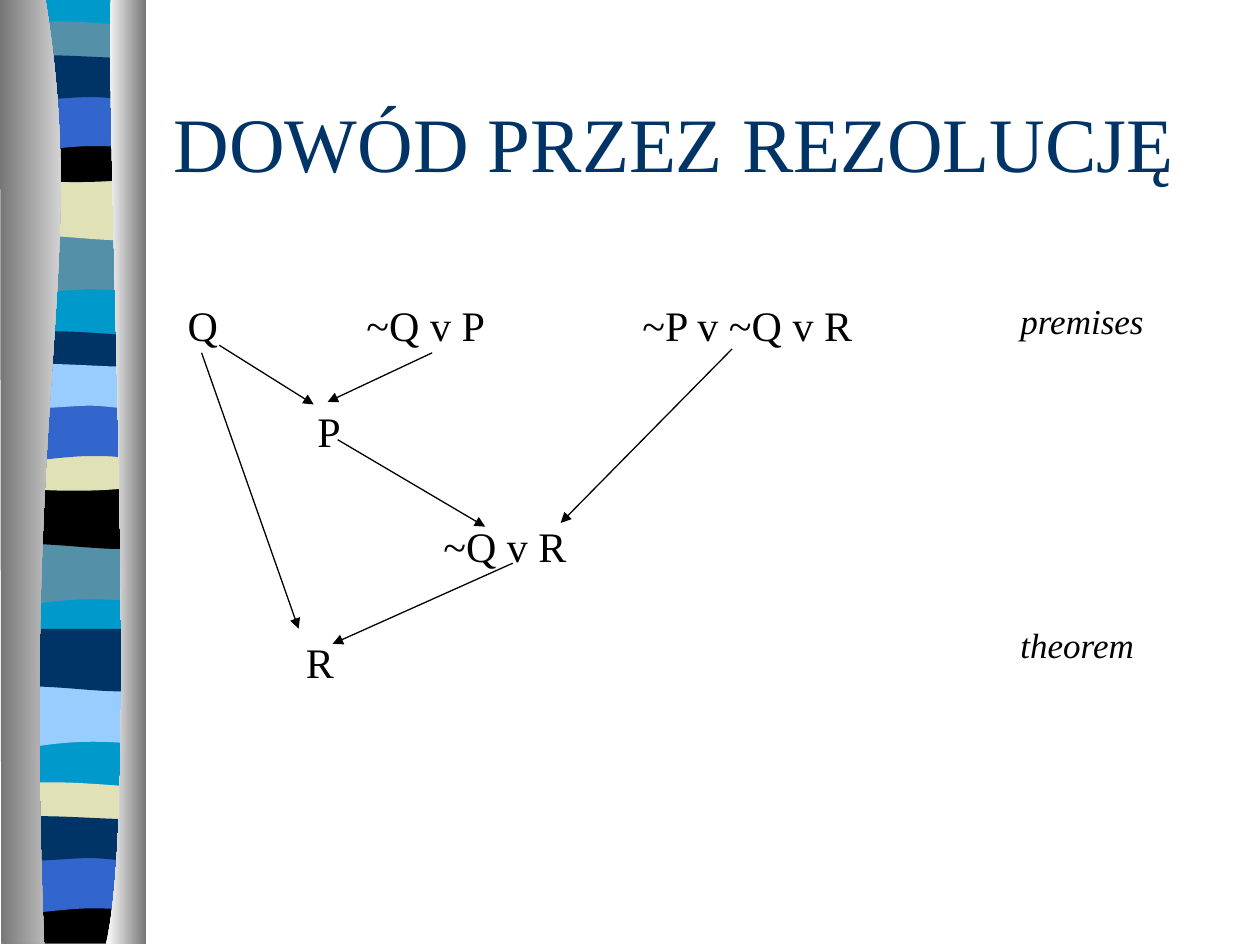
"""Build the resolution proof slide with its striped left border."""
from lxml.etree import SubElement
from pptx import Presentation
from pptx.dml.color import RGBColor
from pptx.enum.shapes import MSO_CONNECTOR
from pptx.enum.text import MSO_ANCHOR as ANCHOR, MSO_AUTO_SIZE as AUTO
from pptx.oxml.ns import qn
from pptx.util import Inches, Pt


def rgb(value):
    return RGBColor.from_string(value)


def add_outline(shapes, steps, left, top):
    points = [(Inches(left + step[i]), Inches(top + step[i + 1]))
              for step in steps for i in range(0, len(step), 2)]
    builder = shapes.build_freeform(*points[0])
    builder.add_line_segments(points[1:], close=True)
    s = builder.convert_to_shape()
    lines = iter(list(s._element.iter(qn("a:lnTo"))))
    for step in steps[1:]:
        line = next(lines)
        if len(step) == 6:
            curve = line.makeelement(qn("a:cubicBezTo"))
            line.addprevious(curve)
            for part in (line, next(lines), next(lines)):
                curve.append(part[0])
                part.getparent().remove(part)
    s.shadow.inherit = False
    s.line.fill.background()
    return s


prs = Presentation()
prs.slide_width, prs.slide_height = Inches(10), Inches(7.5)
shapes = prs.slides.add_slide(prs.slide_layouts[6]).shapes

CYAN, TEAL, SAND, BLACK = "0099CC", "5490A8", "E1E1B7", "000000"
BLUE, NAVY, SKY = "3366CC", "003366", "99CCFF"

waves = {
    "base": [(1.08, 0), (1.08, 7.48), (0, 7.48), (0, 0), (1.08, 0)],
    "dip": [(1.08, 0), (1.08, 0, 1.08, 0.47, 1.08, 0.47),
            (0.33, 0.39, 0.18, 0.55, 0, 0.47), (0, 0), (1.08, 0)],
    "swell": [(1.08, 0), (1.08, 0.47), (0.9, 0.55, 0.33, 0.42, 0, 0.47), (0, 0), (1.08, 0)],
    "thin": [(1.08, 0.05), (1.08, 0.29), (0.9, 0.33, 0.18, 0.33, 0, 0.29), (0, 0.05),
             (0.06, 0, 0.23, 0.01, 0.41, 0.01), (0.59, 0.01, 0.94, 0.04, 1.08, 0.05)],
    "bowl": [(1.08, 0), (1.08, 0.32), (0.9, 0.38, 0.18, 0.38, 0, 0.32), (0, 0),
             (0.66, 0.05, 0.85, 0, 1.08, 0)],
    "arch": [(1.08, 0), (1.08, 0, 1.08, 0.47, 1.08, 0.47),
             (0.91, 0.42, 0.84, 0.42, 0.66, 0.42),
             (0.48, 0.42, 0.16, 0.47, 0, 0.47), (0, 0), (1.08, 0)],
    "ripple": [(1.08, 0.05), (1.08, 0.36), (1.01, 0.41, 0.84, 0.36, 0.66, 0.36),
               (0.48, 0.36, 0.11, 0.41, 0, 0.36), (0, 0.05),
               (0.15, 0, 0.73, 0.05, 0.91, 0.05), (1.09, 0.05, 1.04, 0.05, 1.08, 0.05)],
    "foot": [(1.08, 0), (1.08, 0.37), (0.01, 0.37), (0, 0), (0.66, 0.05, 0.85, 0, 1.08, 0)],
}
stripes = [
    ("base", 0.06, -0.01, CYAN),
    ("dip", 0.06, 1.85, TEAL), ("swell", 0.06, 1.41, SAND), ("thin", 0.06, 0.16, TEAL),
    ("bowl", 0.06, 1.08, BLACK), ("arch", 0.06, 0.74, BLUE), ("ripple", 0.06, 0.41, NAVY),
    ("dip", 0.05, 4.31, TEAL), ("swell", 0.05, 3.86, BLACK), ("thin", 0.05, 2.62, NAVY),
    ("bowl", 0.05, 3.53, SAND), ("arch", 0.05, 3.2, BLUE), ("ripple", 0.05, 2.86, SKY),
    ("dip", 0.06, 5.44, SKY), ("swell", 0.06, 4.99, NAVY), ("thin", 0.05, 6.2, SAND),
    ("foot", 0.05, 7.12, BLACK), ("arch", 0.05, 6.79, BLUE), ("ripple", 0.05, 6.45, NAVY),
]
for wave, left, top, color in stripes:
    s = add_outline(shapes, waves[wave], left, top)
    s.fill.solid()
    s.fill.fore_color.rgb = rgb(color)

columns = [
    ([(0.36, 0), (0.71, 2.17, 0.17, 2.97, 0.35, 7.5), (0.01, 7.5), (0, 0), (0.36, 0)],
     ("767676", "FFFFFF")),
    ([(0.88, 0), (0.84, 1.26, 1.11, 6.47, 0.84, 7.5), (1.16, 7.5), (1.16, 0.01), (0.88, 0)],
     ("FFFFFF", "767676")),
]
for steps, colors in columns:
    s = add_outline(shapes, steps, 0, -0.01)
    s.fill.gradient()
    s.fill.gradient_angle = 0
    for stop, position, color in zip(s.fill.gradient_stops, (0, 1), colors):
        stop.position = position
        stop.color.rgb = rgb(color)

arrows = [
    (1.74, 2.74, 2.49, 3.21), (3.43, 2.8, 2.6, 3.19), (2.68, 3.49, 3.85, 4.18),
    (5.81, 2.77, 4.45, 4.15), (1.6, 2.8, 2.37, 4.99), (4.07, 4.47, 2.64, 5.11),
]
for ends in arrows:
    s = shapes.add_connector(MSO_CONNECTOR.STRAIGHT, *map(Inches, ends))
    s.line.color.rgb = rgb(BLACK)
    s.line.width = Pt(0.75)
    SubElement(s.line._get_or_add_ln(), qn("a:tailEnd"), type="triangle")
    SubElement(s._element.spPr, qn("a:effectLst"))

texts = [
    ("Q", 1.39, 2.33, 0.48, 0.5, 24, BLACK),
    ("~Q v P", 2.81, 2.33, 1.55, 0.5, 24, BLACK),
    ("~P v ~Q v R", 5, 2.33, 2.25, 0.5, 24, BLACK),
    ("premises", 7.5, 2.33, 2, 0.44, 20, BLACK),
    ("P", 2.42, 3.17, 0.5, 0.5, 24, BLACK),
    ("~Q v R", 3.42, 4.08, 1.25, 0.5, 24, BLACK),
    ("R", 2.33, 5, 0.33, 0.5, 24, BLACK),
    ("theorem", 8, 4.9, 1.25, 0.44, 20, BLACK),
    ("DOWÓD PRZEZ REZOLUCJĘ", 1.28, 0.5, 8.5, 1.25, 44, NAVY),
]
for text, left, top, width, height, size, color in texts:
    s = shapes.add_textbox(Inches(left), Inches(top), Inches(width), Inches(height))
    tf = s.text_frame
    tf.word_wrap = True
    tf.vertical_anchor = ANCHOR.MIDDLE if size == 44 else ANCHOR.TOP
    tf.auto_size = AUTO.NONE if size == 44 else AUTO.SHAPE_TO_FIT_TEXT
    p = tf.paragraphs[0]
    p.text = text
    if text == "premises":
        p.level = 1
        p._p.get_or_add_pPr().set("marL", str(Inches(0.5)))
    p.font.name = "Times New Roman"
    p.font.size = Pt(size)
    p.font.italic = size == 20
    p.font.color.rgb = rgb(color)

prs.save("out.pptx")
